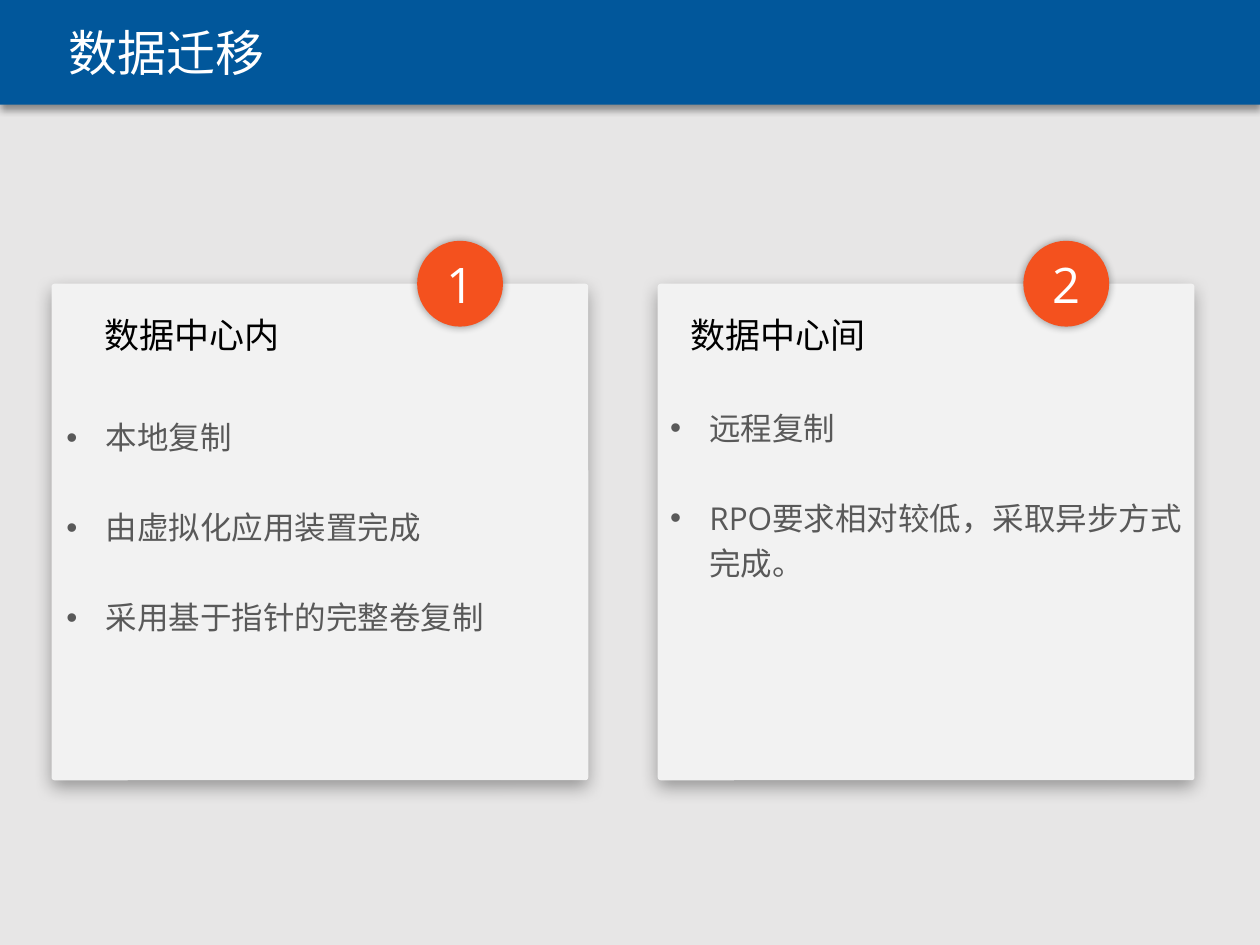
from lxml import etree
from pptx import Presentation
from pptx.dml.color import RGBColor
from pptx.enum.shapes import MSO_SHAPE
from pptx.enum.text import MSO_ANCHOR, MSO_AUTO_SIZE, PP_ALIGN
from pptx.oxml.ns import qn
from pptx.util import Cm, Pt

RECT, ROUND, OVAL = MSO_SHAPE.RECTANGLE, MSO_SHAPE.ROUNDED_RECTANGLE, MSO_SHAPE.OVAL
LEFT, CENTER = PP_ALIGN.LEFT, PP_ALIGN.CENTER
TOP, MIDDLE = MSO_ANCHOR.TOP, MSO_ANCHOR.MIDDLE
NO_FIT = MSO_AUTO_SIZE.NONE

BLUE = RGBColor(0x01, 0x57, 0x9B)
ORANGE = RGBColor(0xF4, 0x51, 0x1E)
WHITE = RGBColor(0xFF, 0xFF, 0xFF)
BLACK = RGBColor(0, 0, 0)
GREY = RGBColor(0x59, 0x59, 0x59)
PALE = RGBColor(0xF2, 0xF2, 0xF2)
BACK = RGBColor(0xE7, 0xE6, 0xE6)
FONT = "Open Sans"

WIDTH, HEIGHT = 25.4, 19.05
CARD_W, CARD_H, CARD_Y = 10.82, 10.01, 5.72
BADGE = 1.73

# card left, heading (text, offset, width, alignment), list offset x and y, items
CARDS = [
    (1.04, ("数据中心内", 0.81, 6.2, LEFT), (0.05, 2.44),
     ["本地复制", "由虚拟化应用装置完成", "采用基于指针的完整卷复制"]),
    (13.26, ("数据中心间", -0.43, 5.72, CENTER), (0, 2.24),
     ["远程复制", "RPO要求相对较低，采取异步方式完成。"]),
]


def add_shadow(shape, alpha, blur, dist, angle):
    """Outer shadow: alpha in percent, blur and distance in points."""
    shape.shadow.inherit = False
    effects = shape.element.spPr.find(qn("a:effectLst"))
    outer = etree.SubElement(effects, qn("a:outerShdw"), blurRad=str(Pt(blur)),
                             dist=str(Pt(dist)), dir=str(angle * 60000),
                             algn="ctr", rotWithShape="0")
    color = etree.SubElement(outer, qn("a:srgbClr"), val=str(BLACK))
    etree.SubElement(color, qn("a:alpha"), val=str(alpha * 1000))


def add_block(slide, kind, box, fill, shadow):
    shape = slide.shapes.add_shape(kind, *map(Cm, box))
    shape.fill.solid()
    shape.fill.fore_color.rgb = fill
    shape.line.fill.background()
    add_shadow(shape, *shadow)
    return shape


def add_run(para, text, size, color, align=LEFT):
    para.alignment = align
    run = para.add_run()
    run.text = text
    run.font.size = Pt(size)
    run.font.name = FONT
    run.font.color.rgb = color


def set_frame(shape, anchor, wrap=True):
    frame = shape.text_frame
    frame.auto_size = NO_FIT
    frame.word_wrap = wrap
    frame.vertical_anchor = anchor
    return frame


def add_bullet(para):
    props = para._p.get_or_add_pPr()
    props.set("marL", str(Cm(0.79)))
    props.set("indent", str(-Cm(0.79)))
    etree.SubElement(props, qn("a:buFont"), typeface="Arial")
    etree.SubElement(props, qn("a:buChar"), char="•")


def add_header(slide, text, x, y, w, h):
    bar = add_block(slide, RECT, (x, y, w, h), BLUE, (40, 4, 3, 90))
    title = slide.shapes.title
    title.element.addprevious(bar.element)
    title.left, title.top = Cm(x + 1.04), Cm(y + 0.33)
    title.width, title.height = Cm(4.62), Cm(1.45)
    frame = set_frame(title, TOP, False)
    add_run(frame.paragraphs[0], text, 28, WHITE, CENTER)


def add_list(slide, items, x, y, w, h):
    box = slide.shapes.add_textbox(Cm(x), Cm(y), Cm(w), Cm(h))
    frame = set_frame(box, TOP)
    for i, item in enumerate(items):
        para = frame.add_paragraph() if i else frame.paragraphs[0]
        para.line_spacing = 1.2
        para.space_before = Pt(25.5 if i else 0)
        add_bullet(para)
        add_run(para, item, 18, GREY)


def add_badge(slide, text, x, y):
    badge = add_block(slide, OVAL, (x, y, BADGE, BADGE), ORANGE, (40, 5, 0, 0))
    frame = set_frame(badge, MIDDLE, False)
    add_run(frame.paragraphs[0], text, 28, WHITE, CENTER)


def add_card(slide, number, head, shift, items, x, y, w, h):
    card = add_block(slide, ROUND, (x, y, w, h), PALE, (35, 10, 4, 90))
    card.adjustments[0] = 0.006
    text, dx, width, align = head
    box = slide.shapes.add_textbox(Cm(x + dx), Cm(y + 0.47), Cm(width), Cm(1.11))
    add_run(set_frame(box, TOP).paragraphs[0], text, 20, BLACK, align)
    add_list(slide, items, x + shift[0], y + shift[1], w - shift[0], 4.88)
    add_badge(slide, str(number), x + 7.37, y - BADGE / 2)


def main():
    deck = Presentation()
    deck.slide_width, deck.slide_height = Cm(WIDTH), Cm(HEIGHT)
    slide = deck.slides.add_slide(deck.slide_layouts[5])
    slide.background.fill.solid()
    slide.background.fill.fore_color.rgb = BACK
    add_header(slide, "数据迁移", 0, 0, WIDTH, 2.11)
    for number, (x, head, shift, items) in enumerate(CARDS, 1):
        add_card(slide, number, head, shift, items, x, CARD_Y, CARD_W, CARD_H)
    deck.save("out.pptx")


if __name__ == "__main__":
    main()
